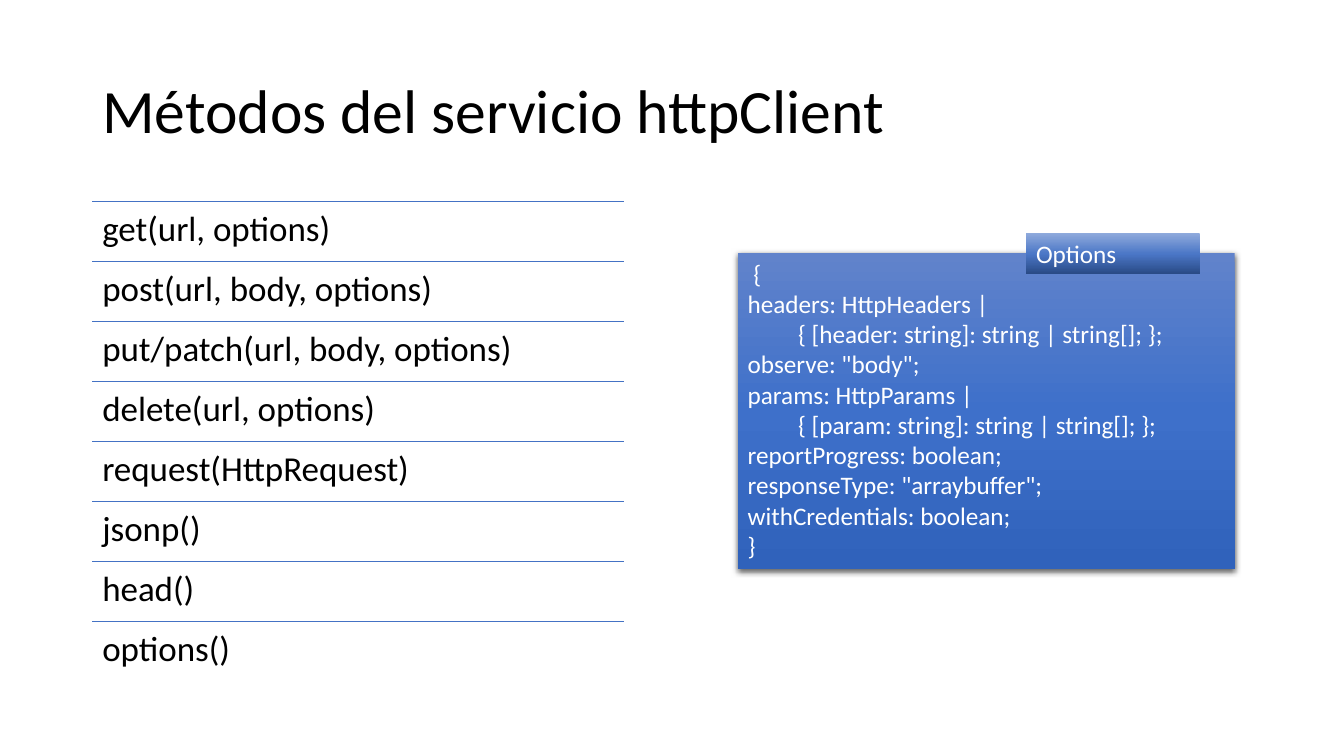
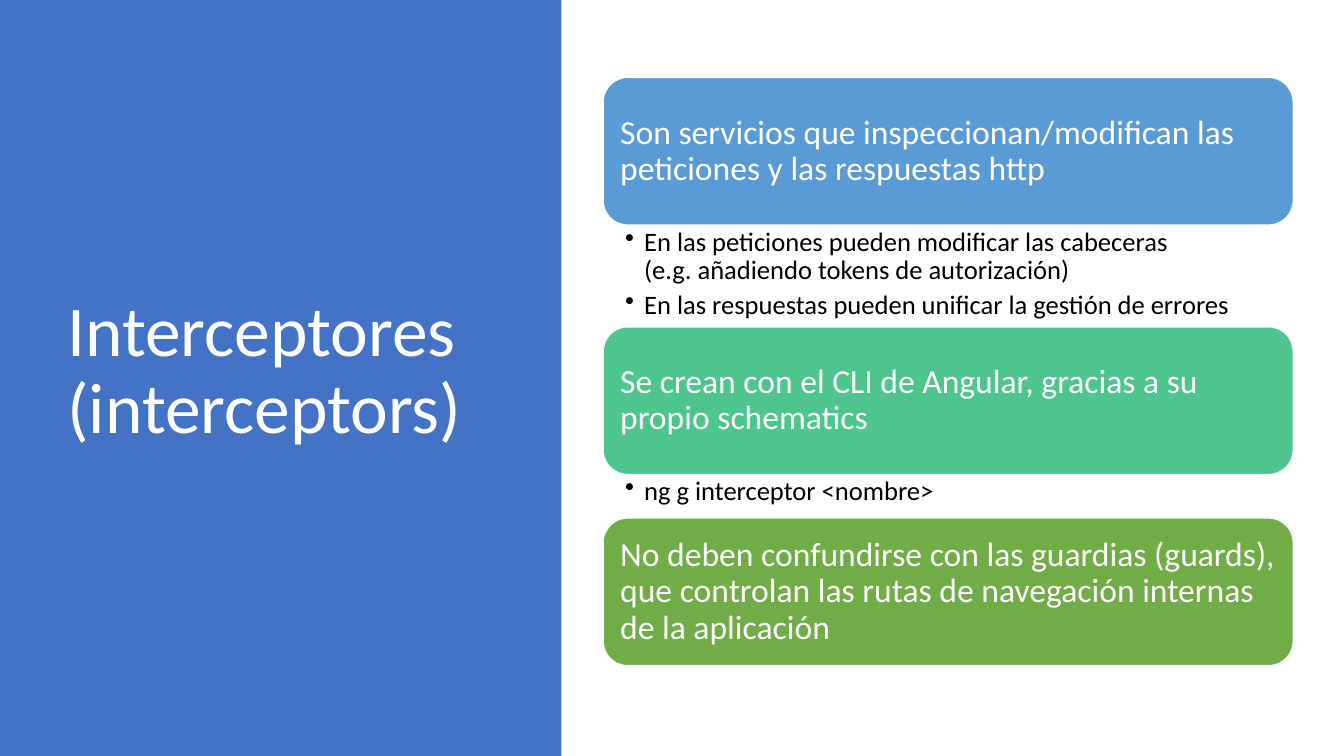
import copy
import pptx
import pptx.dml.color
import pptx.enum.shapes
import pptx.enum.text
import pptx.oxml
import pptx.oxml.ns
import pptx.util
from lxml import etree

Pt = pptx.util.Pt
KIND = pptx.enum.shapes.MSO_SHAPE
TOP = pptx.enum.text.MSO_ANCHOR.TOP
MID = pptx.enum.text.MSO_ANCHOR.MIDDLE

THEME = {
    "font": "Calibri",
    "ink": "000000", "paper": "FFFFFF", "blue": "4472C4",
    "cards": ["5B9BD5", "4DC58D", "70AD47"],
    "panel": [(0, "6183CB"), (0.5, "3E70CA"), (1, "3062BB")],
    "tab": [(0, "8FAADC"), (0.52, "4A76C6"), (1, "2A4B86")],
    "title": 44, "cover": 51, "row": 25, "card": 24, "item": 19, "code": 18,
}

METHODS = {
    "title": "Métodos del servicio httpClient",
    "rows": [
        "get(url, options)",
        "post(url, body, options)",
        "put/patch(url, body, options)",
        "delete(url, options)",
        "request(HttpRequest)",
        "jsonp()",
        "head()",
        "options()",
    ],
    "tab": "Options",
    "code": [
        " {",
        "headers: HttpHeaders |",
        "\t{ [header: string]: string | string[]; };",
        'observe: "body";',
        "params: HttpParams |",
        "\t{ [param: string]: string | string[]; };",
        "reportProgress: boolean;",
        'responseType: "arraybuffer";',
        "withCredentials: boolean;",
        "}",
    ],
}

# Each card: heading, height of the list below it, list items
INTERCEPT = {
    "title": "Interceptores (interceptors)",
    "cards": [
        ("Son servicios que inspeccionan/modifican las peticiones y las "
         "respuestas http", 72.7,
         ["En las peticiones pueden modificar las cabeceras\n"
          "(e.g. añadiendo tokens de autorización)",
          "En las respuestas pueden unificar la gestión de errores"]),
        ("Se crean con el CLI de Angular, gracias a su propio schematics",
         31, ["ng g interceptor <nombre>"]),
        ("No deben confundirse con las guardias (guards), que controlan las "
         "rutas de navegación internas de la aplicación", 0, []),
    ],
}


def rgb(code):
    return pptx.dml.color.RGBColor.from_string(code)


def put(obj, fmt):
    for name, value in fmt.items():
        setattr(obj, name, value)


def dot(para):
    """Give a paragraph a hanging round bullet."""
    props = para._p.get_or_add_pPr()
    props.set("marL", str(Pt(13.7)))
    props.set("indent", str(-Pt(13.7)))
    mark = etree.SubElement(props, pptx.oxml.ns.qn("a:buChar"))
    mark.set("char", "•")


def write(shape, lines, size, ink, anchor=TOP, pads=(7.2, 3.6, 7.2, 3.6),
          lead=0.9, after=0, bullet=False):
    frame = shape.text_frame
    left, top, right, base = map(Pt, pads)
    put(frame, {"word_wrap": True, "vertical_anchor": anchor,
                "margin_left": left, "margin_top": top,
                "margin_right": right, "margin_bottom": base})
    for i, line in enumerate(lines):
        para = frame.add_paragraph() if i else frame.paragraphs[0]
        para.text = line
        put(para, {"alignment": pptx.enum.text.PP_ALIGN.LEFT,
                   "line_spacing": lead, "space_after": Pt(after)})
        if bullet:
            dot(para)
        for run in para.runs:
            put(run.font, {"name": THEME["font"], "size": Pt(size)})
            run.font.color.rgb = rgb(THEME[ink])


def label(slide, area, lines, size, ink="ink", **fmt):
    box = slide.shapes.add_textbox(*map(Pt, area))
    write(box, lines, size, ink, **fmt)


def block(slide, kind, area, color=None, edge=None):
    shape = slide.shapes.add_shape(kind, *map(Pt, area))
    shape.shadow.inherit = False
    if color:
        shape.fill.solid()
        shape.fill.fore_color.rgb = rgb(color)
    if edge:
        shape.line.color.rgb = rgb(edge)
        shape.line.width = Pt(1)
    else:
        shape.line.fill.background()
    return shape


def blend(shape, stops):
    """Fill from top to bottom through the given colour stops."""
    shape.fill.gradient()
    shape.fill.gradient_angle = 270
    group = shape._element.spPr.find(".//" + pptx.oxml.ns.qn("a:gsLst"))
    while len(group) < len(stops):
        group.append(copy.deepcopy(group[0]))
    for stop, (place, color) in zip(shape.fill.gradient_stops, stops):
        stop.color.rgb = rgb(color)
        stop.position = place


def shade(shape):
    """Add a soft shadow below the shape."""
    effects = shape._element.spPr.find(pptx.oxml.ns.qn("a:effectLst"))
    effects.append(pptx.oxml.parse_xml(
        f'<a:outerShdw {pptx.oxml.ns.nsdecls("a")} blurRad="{Pt(4.5)}" '
        f'dist="{Pt(1.5)}" dir="5400000" algn="ctr" rotWithShape="0">'
        '<a:srgbClr val="000000"><a:alpha val="63000"/></a:srgbClr>'
        '</a:outerShdw>'))


def rule(slide, left, top, width):
    line = slide.shapes.add_connector(
        pptx.enum.shapes.MSO_CONNECTOR.STRAIGHT,
        Pt(left), Pt(top), Pt(left + width), Pt(top))
    line.line.color.rgb = rgb(THEME["blue"])
    line.line.width = Pt(1)
    etree.SubElement(line._element.spPr, pptx.oxml.ns.qn("a:effectLst"))


def methods(slide, data):
    label(slide, (66, 28.8, 828, 104.4), [data["title"]], THEME["title"],
          anchor=MID)
    left, top, width, step = 66, 143.75, 380, 42.86
    for i, row in enumerate(data["rows"]):
        y = top + i * step
        rule(slide, left, y, width)
        label(slide, (left, y, width, step), [row], THEME["row"],
              pads=(7.2,) * 4)
    panel = block(slide, KIND.RECTANGLE, (527, 180.7, 355, 225.7))
    blend(panel, THEME["panel"])
    shade(panel)
    write(panel, data["code"], THEME["code"], "paper", lead=1)
    tab = block(slide, KIND.RECTANGLE, (733, 166.5, 124, 29))
    blend(tab, THEME["tab"])
    write(tab, [data["tab"]], THEME["code"], "paper", lead=1)


def intercept(slide, data):
    block(slide, KIND.RECTANGLE, (0, 0, 401, 540), THEME["blue"])
    label(slide, (41, 49, 299.5, 433.4), [data["title"]], THEME["cover"],
          "paper", anchor=MID)
    left, y, width, tall = 430.8, 55.3, 493, 105.5
    for (head, room, items), color in zip(data["cards"], THEME["cards"]):
        card = block(slide, KIND.ROUNDED_RECTANGLE, (left, y, width, tall),
                     color, THEME["paper"])
        write(card, [head], THEME["card"], "paper", anchor=MID,
              pads=(7.2, 3.6, 6, 3.6))
        y += tall
        if items:
            label(slide, (left, y, width, room), items, THEME["item"],
                  pads=(15.7, 2.2, 13.7, 2.2), after=4, bullet=True)
        y += room


def main():
    deck = pptx.Presentation()
    put(deck, {"slide_width": Pt(960), "slide_height": Pt(540)})
    for draw, data in ((methods, METHODS), (intercept, INTERCEPT)):
        draw(deck.slides.add_slide(deck.slide_layouts[6]), data)
    deck.save("out.pptx")


if __name__ == "__main__":
    main()
